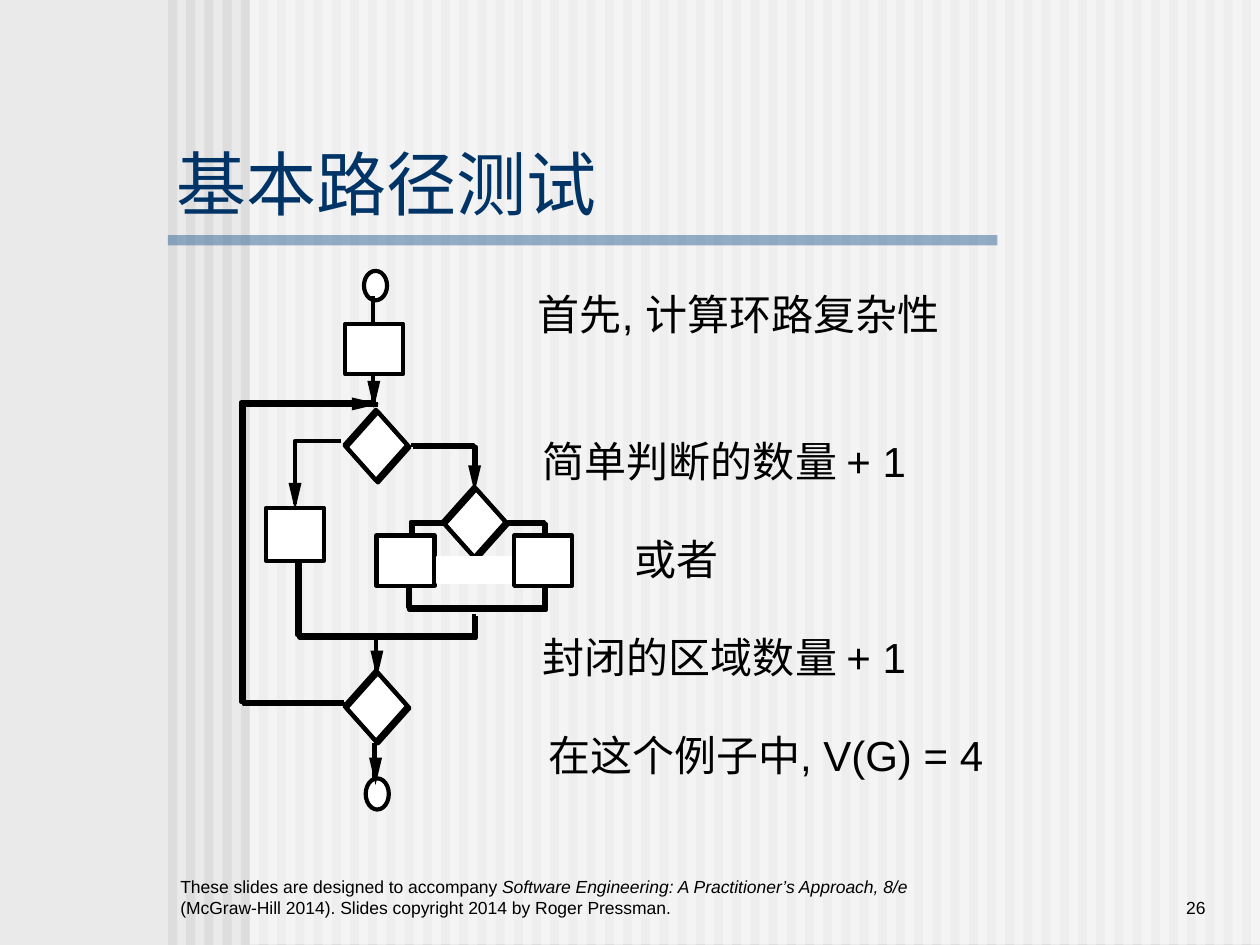
from dataclasses import dataclass

from lxml import etree
from pptx import Presentation
from pptx.dml.color import RGBColor
from pptx.enum.shapes import MSO_CONNECTOR, MSO_SHAPE
from pptx.enum.text import MSO_ANCHOR, MSO_AUTO_SIZE, PP_ALIGN
from pptx.oxml.ns import qn
from pptx.util import Pt

RECTANGLE, OVAL, DIAMOND = MSO_SHAPE.RECTANGLE, MSO_SHAPE.OVAL, MSO_SHAPE.DIAMOND
STRAIGHT = MSO_CONNECTOR.STRAIGHT
TOP, BOTTOM = MSO_ANCHOR.TOP, MSO_ANCHOR.BOTTOM
LEFT, RIGHT = PP_ALIGN.LEFT, PP_ALIGN.RIGHT
NO_FIT = MSO_AUTO_SIZE.NONE

BLACK, WHITE, NAVY = "000000", "FFFFFF", "003366"
STROKE, STEM = 2.38, 1.39
ECHO = 1.2
HEAD_LENGTH, HEAD_HALF = 15.6, 3.7


@dataclass(frozen=True)
class Block:
    kind: int
    left: float
    top: float
    width: float
    height: float
    fill: str | None = WHITE
    line: str | None = BLACK
    stroke: float = STROKE
    opacity: int = 100


@dataclass(frozen=True)
class Route:
    points: tuple[tuple[float, float], ...]
    echoed: bool = True


@dataclass(frozen=True)
class Arrow:
    x: float
    y: float
    stem: float
    dx: int = 0
    dy: int = 1


@dataclass(frozen=True)
class Caption:
    runs: tuple[tuple[str, bool], ...]
    left: float
    top: float
    width: float
    height: float
    size: float = 24
    colour: str = BLACK
    align: int = LEFT
    anchor: int = TOP
    margins: tuple[float, float] = (0, 0)
    spacing: float = 0.9


def paint(fill, colour: str | None) -> None:
    if colour is None:
        fill.background()
    else:
        fill.solid()
        fill.fore_color.rgb = RGBColor.from_string(colour)


def apply_format(target, values: dict) -> None:
    for attribute, value in values.items():
        setattr(target, attribute, value)


def finish(shape, fill: str | None, line: str | None, stroke: float = STROKE) -> None:
    shape.shadow.inherit = False
    paint(shape.fill, fill)
    paint(shape.line.fill, line)
    if line:
        shape.line.width = Pt(stroke)


def draw_block(slide, block: Block) -> None:
    frame = (Pt(v) for v in (block.left, block.top, block.width, block.height))
    shape = slide.shapes.add_shape(block.kind, *frame)
    finish(shape, block.fill, block.line, block.stroke)
    if block.opacity < 100:
        tint = shape.element.spPr.find(".//" + qn("a:srgbClr"))
        etree.SubElement(tint, qn("a:alpha")).set("val", str(block.opacity * 1000))


def draw_outline(slide, points, closed: bool, fill: str | None, line: str | None) -> None:
    start, *rest = [(Pt(x), Pt(y)) for x, y in points]
    builder = slide.shapes.build_freeform(*start)
    builder.add_line_segments(rest, close=closed)
    finish(builder.convert_to_shape(), fill, line)


def draw_line(slide, start: tuple[float, float], end: tuple[float, float], stroke: float) -> None:
    connector = slide.shapes.add_connector(STRAIGHT, *(Pt(v) for v in start + end))
    paint(connector.line.fill, BLACK)
    connector.line.width = Pt(stroke)
    etree.SubElement(connector.element.spPr, qn("a:effectLst"))


def draw_route(slide, route: Route) -> None:
    for shift in (0, ECHO) if route.echoed else (0,):
        points = [(x - shift, y - shift) for x, y in route.points]
        draw_outline(slide, points, False, None, BLACK)


def draw_arrow(slide, arrow: Arrow) -> None:
    x, y, dx, dy = arrow.x, arrow.y, arrow.dx, arrow.dy
    base_x, base_y = x - HEAD_LENGTH * dx, y - HEAD_LENGTH * dy
    side_x, side_y = HEAD_HALF * dy, HEAD_HALF * dx
    corners = [(x, y), (base_x - side_x, base_y - side_y), (base_x + side_x, base_y + side_y)]
    draw_outline(slide, corners, True, BLACK, None)
    tail = (base_x - arrow.stem * dx, base_y - arrow.stem * dy)
    draw_line(slide, tail, (base_x, base_y), STEM)


def write_caption(shape, caption: Caption) -> None:
    side, end = (Pt(v) for v in caption.margins)
    frame = shape.text_frame
    apply_format(frame, {
        "word_wrap": True, "auto_size": NO_FIT, "vertical_anchor": caption.anchor,
        "margin_left": side, "margin_right": side, "margin_top": end, "margin_bottom": end,
    })
    paragraph = frame.paragraphs[0]
    apply_format(paragraph, {
        "alignment": caption.align, "line_spacing": caption.spacing, "space_before": Pt(0),
    })
    for text, italic in caption.runs:
        run = paragraph.add_run()
        run.text = text
        apply_format(run.font, {
            "name": "Arial", "size": Pt(caption.size), "bold": False, "italic": italic,
        })
        paint(run.font.fill, caption.colour)


def add_caption(slide, caption: Caption) -> None:
    frame = (Pt(v) for v in (caption.left, caption.top, caption.width, caption.height))
    write_caption(slide.shapes.add_textbox(*frame), caption)


def note(text: str, left: float, top: float, width: float) -> Caption:
    return Caption(((text, False),), left, top, width, 26)


BACKDROP = [Block(RECTANGLE, 96 + 10.4 * i, 0, 5.2, 540, "DDDDDD", None) for i in range(60)] + [
    Block(RECTANGLE, 142.6, -0.5, 577.4, 540, WHITE, None, opacity=50),
    Block(RECTANGLE, 96, 134.4, 474, 5.8, "336699", None, opacity=50),
]
TITLE = Caption((("基本路径测试", False),), 96, 78, 368, 52.6, 40, NAVY, margins=(5, 2.2), spacing=1)
FOOTER = dict(top=492, height=36, size=10, anchor=BOTTOM, margins=(7.2, 3.6), spacing=1)
FOOTERS = [
    Caption((
        ("These slides are designed to accompany ", False),
        ("Software Engineering: A Practitioner’s Approach, 8/e ", True),
        ("(McGraw-Hill 2014). Slides copyright 2014 by Roger Pressman.", False),
    ), left=96, width=432, **FOOTER),
    Caption((("26", False),), left=594, width=102, align=RIGHT, **FOOTER),
]
DECISIONS = [(254.2, 279.4), (198, 235.4), (198, 384.5)]
TERMINALS = [Block(OVAL, 208, 154.8, 13.2, 16.8), Block(OVAL, 209, 444.8, 13.2, 17.8)]
STRAIGHTS = [((213.2, 169.2), (213.2, 232)), ((215, 364.3), (215, 384.5)), ((214, 424.8), (214, 445))]
BRANCHES = [
    Route(((236, 255.6), (272, 255.6), (272, 269.3))),
    Route(((195, 252), (168.5, 252), (168.5, 288)), echoed=False),
    Route(((290, 299.5), (312, 299.5), (312, 319.7))),
    Route(((255.8, 299.5), (236, 299.5), (236, 324))),
    Route(((234, 336.2), (234, 348.5), (311.8, 348.5), (311.8, 336.2)), echoed=False),
    Route(((198, 402.5), (139.2, 402.5), (139.2, 231.1), (216, 231.1))),
    Route(((272, 352), (272, 364.3), (171.2, 364.3), (171.2, 321.8))),
]
JOIN = Block(RECTANGLE, 233.2, 326.2, 77.8, 20.9, None)
STEPS = [
    Block(RECTANGLE, left, top, 33.1, height)
    for left, top, height in [(197.3, 185, 28.8), (215.2, 306, 28.8), (293.8, 306, 28.8), (152, 290.2, 30.2)]
]
ARROWS = [
    Arrow(216.7, 230.8, 1.4, dx=1, dy=0),
    Arrow(271.2, 281.5, 6.5),
    Arrow(168.6, 291.6, 4.3),
    Arrow(215.4, 387.4, 7.2),
    Arrow(213.6, 233.3, 1.4),
    Arrow(214.6, 448.6, 2.2),
]
NOTES = [
    note("首先, 计算环路复杂性", 307.4, 168, 246),
    note("简单判断的数量 + 1", 310.3, 252, 274),
    note("或者", 362.5, 308, 56),
    note("封闭的区域数量 + 1", 310.3, 364, 219),
    note("在这个例子中, V(G) = 4", 313.2, 420, 260),
]
GAP = Block(RECTANGLE, 249.8, 318.2, 42.5, 15.1, WHITE, WHITE, 1)


def main() -> None:
    deck = Presentation()
    apply_format(deck, {"slide_width": Pt(720), "slide_height": Pt(540)})
    slide = deck.slides.add_slide(deck.slide_layouts[5])
    paint(slide.background.fill, "EAEAEA")
    for block in BACKDROP:
        draw_block(slide, block)
    for footer in FOOTERS:
        add_caption(slide, footer)

    title = slide.shapes.title
    apply_format(title, {key: Pt(getattr(TITLE, key)) for key in ("left", "top", "width", "height")})
    write_caption(title, TITLE)
    slide.shapes.element.append(title.element)

    for left, top in DECISIONS:
        draw_block(slide, Block(DIAMOND, left, top, 36, 40.3))
        draw_block(slide, Block(DIAMOND, left - ECHO, top - ECHO, 36, 40.3, None))
    for terminal in TERMINALS:
        draw_block(slide, terminal)
    for start, end in STRAIGHTS:
        draw_line(slide, start, end, STROKE)
    for branch in BRANCHES:
        draw_route(slide, branch)
    for block in [JOIN, *STEPS]:
        draw_block(slide, block)
    for arrow in ARROWS:
        draw_arrow(slide, arrow)
    for caption in NOTES:
        add_caption(slide, caption)
    draw_block(slide, GAP)
    deck.save("out.pptx")


if __name__ == "__main__":
    main()
